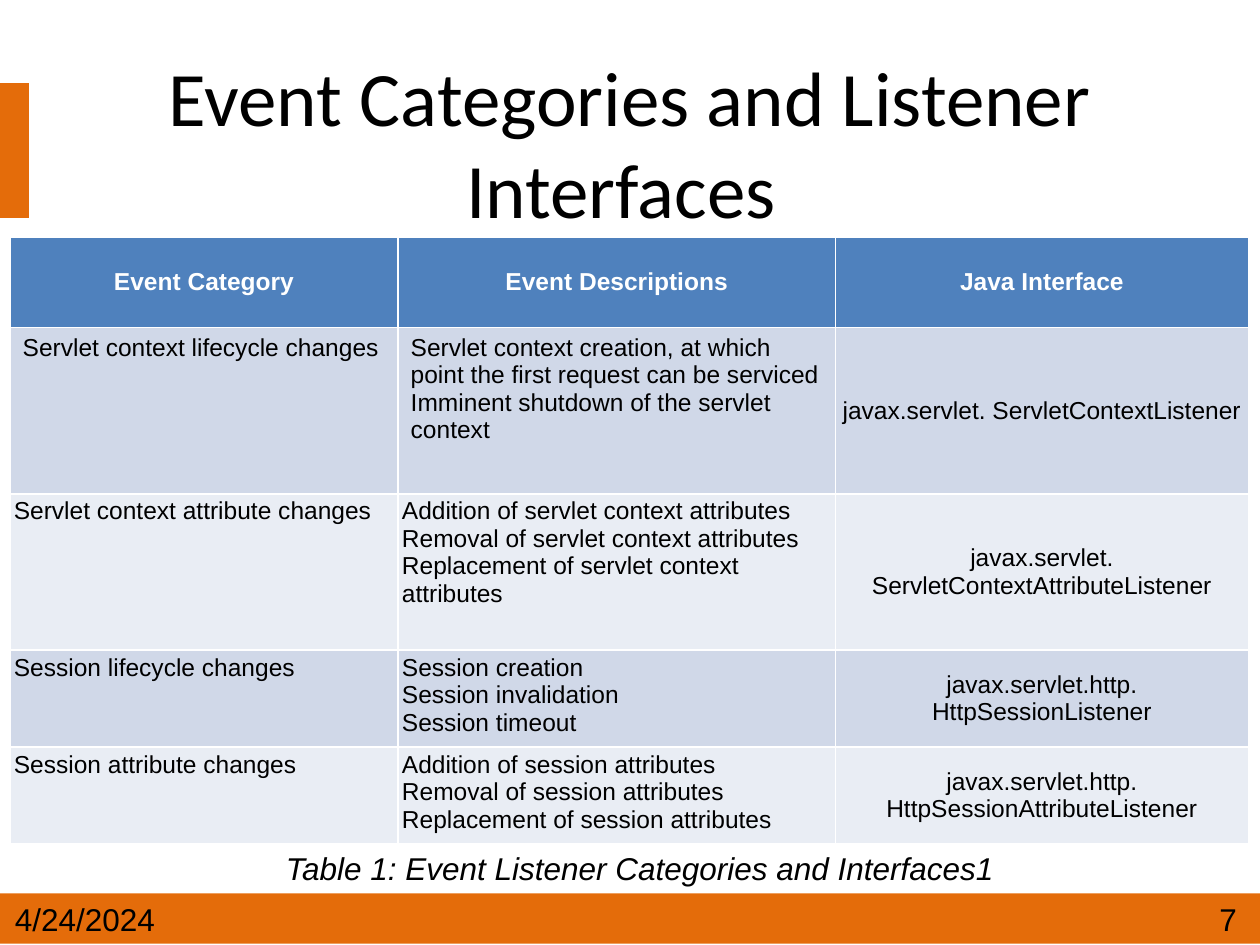
from dataclasses import dataclass

from pptx import Presentation
from pptx.dml.color import RGBColor
from pptx.enum import shapes, text
from pptx.util import Inches, Pt

ORANGE, BLACK, WHITE = "E46C0A", "000000", "FFFFFF"
HEADER_BLUE, BAND_DARK, BAND_LIGHT = "4F81BD", "D0D8E8", "E9EDF4"


@dataclass
class Box:
    left: float
    top: float
    width: float
    height: float

    def lengths(self) -> tuple:
        return tuple(Inches(v) for v in (self.left, self.top, self.width, self.height))


@dataclass
class Label:
    content: str
    box: Box
    italic: bool = False


@dataclass
class EventRow:
    category: str
    descriptions: list[str]
    interface: str
    height: float
    side_margin: float = 0.03
    top_margin: float = 0.03


BARS = [Box(0, 7.09, 10, 0.4), Box(0, 0.66, 0.23, 1.07)]
LABELS = [
    Label("Table 1: Event Listener Categories and Interfaces1", Box(2.17, 6.69, 7.75, 0.4), True),
    Label("4/24/2024", Box(0.02, 7.09, 1.52, 0.4)),
    Label("7", Box(9.58, 7.09, 0.42, 0.4)),
]
HEADINGS = ["Event Category", "Event Descriptions", "Java Interface"]
COLUMN_WIDTHS = [3.08, 3.47, 3.28]
HEADER_HEIGHT = 0.72
ROWS = [
    EventRow("Servlet context lifecycle changes",
             ["Servlet context creation, at which point the first request can be serviced",
              "Imminent shutdown of the servlet context"],
             "javax.servlet. ServletContextListener", 1.32, 0.1, 0.05),
    EventRow("Servlet context attribute changes",
             ["Addition of servlet context attributes",
              "Removal of servlet context attributes",
              "Replacement of servlet context attributes"],
             "javax.servlet. ServletContextAttributeListener", 1.24),
    EventRow("Session lifecycle changes",
             ["Session creation", "Session invalidation", "Session timeout"],
             "javax.servlet.http. HttpSessionListener", 0.77),
    EventRow("Session attribute changes",
             ["Addition of session attributes",
              "Removal of session attributes",
              "Replacement of session attributes"],
             "javax.servlet.http. HttpSessionAttributeListener", 0.77),
]


def set_fill(target, color: str) -> None:
    target.fill.solid()
    target.fill.fore_color.rgb = RGBColor.from_string(color)


def format_text(text_frame, size: float, color: str = BLACK, font: str = "Arial",
                bold: bool = False, italic: bool = False, centered: bool = False) -> None:
    for paragraph in text_frame.paragraphs:
        paragraph.alignment = text.PP_ALIGN.CENTER if centered else text.PP_ALIGN.LEFT
        for run in paragraph.runs:
            run.font.name = font
            run.font.size = Pt(size)
            run.font.bold = bold
            run.font.italic = italic
            run.font.color.rgb = RGBColor.from_string(color)


def add_bar(slide, box: Box) -> None:
    bar = slide.shapes.add_shape(shapes.MSO_SHAPE.RECTANGLE, *box.lengths())
    bar.shadow.inherit = False
    set_fill(bar, ORANGE)
    bar.line.fill.background()


def add_label(slide, label: Label) -> None:
    text_frame = slide.shapes.add_textbox(*label.box.lengths()).text_frame
    text_frame.word_wrap = True
    text_frame.text = label.content
    format_text(text_frame, 18, italic=label.italic)


def format_title(title, content: str, box: Box) -> None:
    title.left, title.top, title.width, title.height = box.lengths()
    title.text_frame.text = content
    title.text_frame.vertical_anchor = text.MSO_ANCHOR.MIDDLE
    format_text(title.text_frame, 44, font="Calibri", centered=True)


def fill_cell(cell, content: str, fill: str, color: str = BLACK, bold: bool = False,
              centered: bool = False, side: float = 0.03, top: float = 0.03) -> None:
    cell.margin_left = cell.margin_right = Inches(side)
    cell.margin_top = cell.margin_bottom = Inches(top)
    cell.vertical_anchor = text.MSO_ANCHOR.MIDDLE if centered else text.MSO_ANCHOR.TOP
    set_fill(cell, fill)
    cell.text_frame.text = content
    format_text(cell.text_frame, 14, color, bold=bold, centered=centered)


def add_event_table(slide, left: float, top: float) -> None:
    heights = [HEADER_HEIGHT] + [row.height for row in ROWS]
    box = Box(left, top, sum(COLUMN_WIDTHS), sum(heights))
    table = slide.shapes.add_table(len(heights), len(HEADINGS), *box.lengths()).table
    for column, width in zip(table.columns, COLUMN_WIDTHS):
        column.width = Inches(width)
    for table_row, height in zip(table.rows, heights):
        table_row.height = Inches(height)

    for index, heading in enumerate(HEADINGS):
        fill_cell(table.cell(0, index), heading, HEADER_BLUE, WHITE, bold=True, centered=True)
    for index, row in enumerate(ROWS, start=1):
        band = BAND_DARK if index % 2 else BAND_LIGHT
        for column, content in enumerate([row.category, "\n".join(row.descriptions)]):
            fill_cell(table.cell(index, column), content, band,
                      side=row.side_margin, top=row.top_margin)
        fill_cell(table.cell(index, 2), row.interface, band, centered=True)


def main() -> None:
    presentation = Presentation()
    presentation.slide_width, presentation.slide_height = Inches(10), Inches(7.5)
    slide = presentation.slides.add_slide(presentation.slide_layouts[5])
    for bar in BARS:
        add_bar(slide, bar)
    format_title(slide.shapes.title, "Event Categories and Listener Interfaces ",
                 Box(0.5, 0.5, 9, 1.25))
    add_event_table(slide, 0.08, 1.88)
    for label in LABELS:
        add_label(slide, label)
    presentation.save("out.pptx")


if __name__ == "__main__":
    main()
